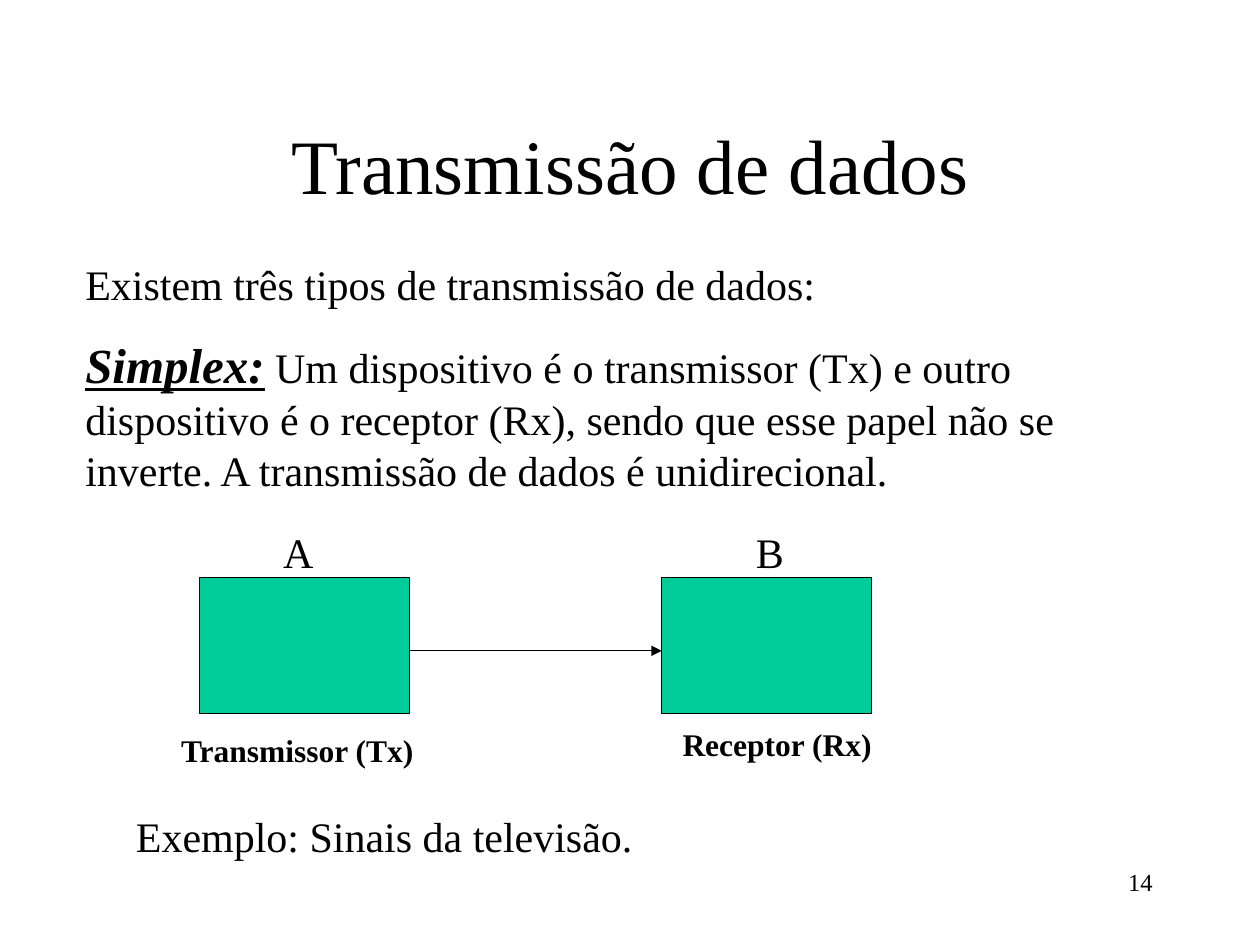
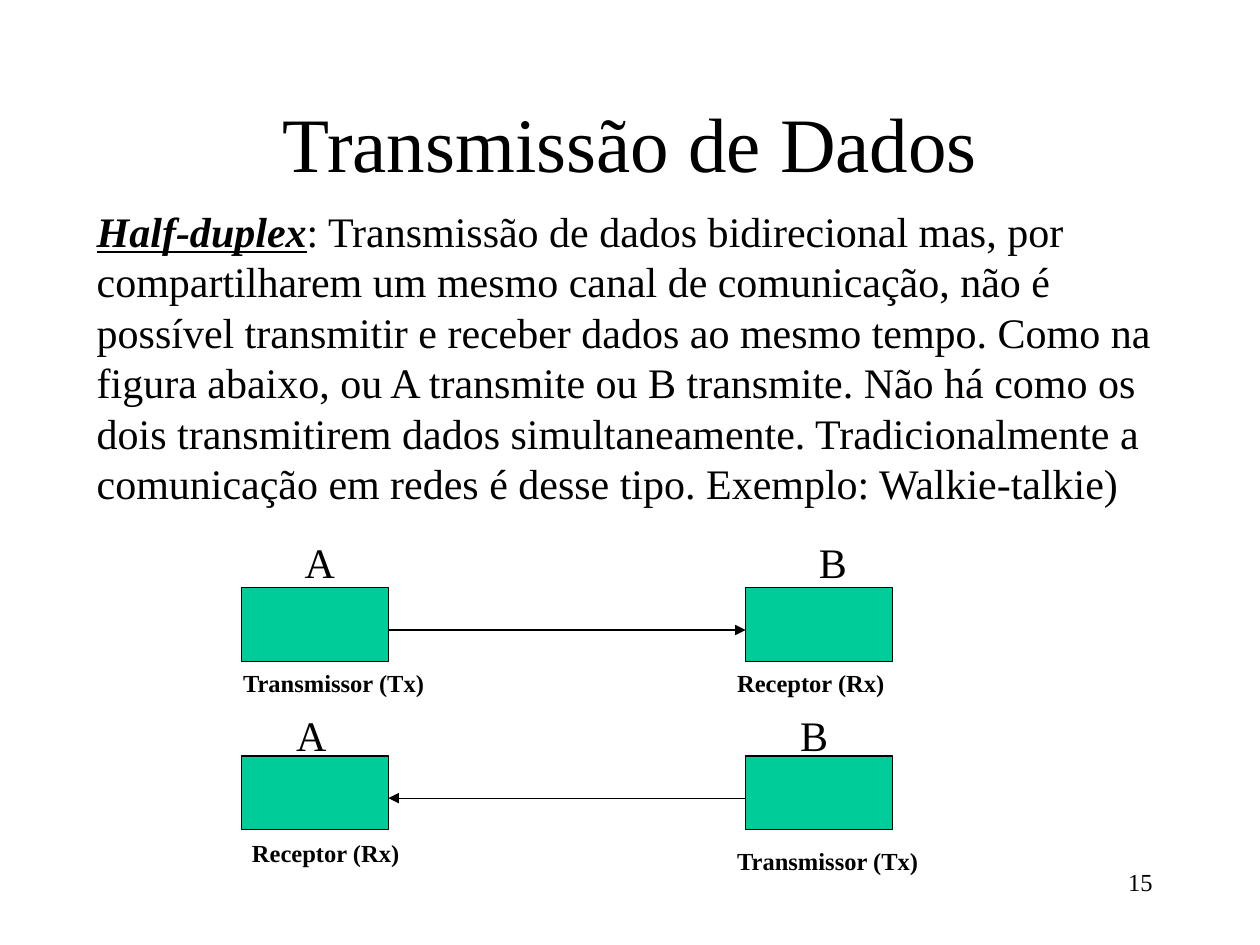
from lxml.etree import SubElement
from pptx import Presentation
from pptx.dml.color import RGBColor
from pptx.enum.shapes import MSO_CONNECTOR as Connector, MSO_SHAPE as Shape
from pptx.enum.text import MSO_ANCHOR as Anchor, MSO_AUTO_SIZE as AutoSize, PP_ALIGN as Align
from pptx.oxml.ns import qn
from pptx.util import Cm, Pt

FONT = "Times New Roman"
BLACK = "000000"
GREEN = "00CC99"
TITLE_ONLY = 5
ROLE_WIDTHS = {
    18: {"Transmissor (Tx)": 5.26, "Receptor (Rx)": 4.32},
    14: {"Transmissor (Tx)": 4.19, "Receptor (Rx)": 3.48},
}


def color(value):
    return RGBColor.from_string(value)


def style_font(font, size, bold=False, italic=False, underline=False):
    font.name = FONT
    font.size = Pt(size)
    font.bold = bold
    font.italic = italic
    font.underline = underline
    font.color.rgb = color(BLACK)


def add_page(deck, title, top, height):
    page = deck.slides.add_slide(deck.slide_layouts[TITLE_ONLY])
    holder = page.shapes.title
    holder.left, holder.top = Cm(1.91), Cm(top)
    holder.width, holder.height = Cm(21.59), Cm(height)
    frame = holder.text_frame
    frame.text = title
    frame.auto_size = AutoSize.NONE
    frame.vertical_anchor = Anchor.MIDDLE
    para = frame.paragraphs[0]
    para.alignment = Align.CENTER
    style_font(para.runs[0].font, 44)
    return page


def add_box(page, left, top, width, height, wrap=True):
    box = page.shapes.add_textbox(Cm(left), Cm(top), Cm(width), Cm(height))
    box.text_frame.word_wrap = wrap
    box.text_frame.auto_size = AutoSize.SHAPE_TO_FIT_TEXT
    return box.text_frame


def add_label(page, text, left, top, width, height=1.27, size=24, bold=False):
    frame = add_box(page, left, top, width, height, wrap=False)
    frame.text = text
    style_font(frame.paragraphs[0].runs[0].font, size, bold)


def add_term(para, term, term_size, explanation):
    para.text = term
    style_font(para.runs[0].font, term_size, bold=True, italic=True, underline=True)
    span = para.add_run()
    span.text = explanation
    style_font(span.font, 24)


def add_number(page, number):
    frame = add_box(page, 18.2, 17.36, 5.29, 1.27)
    frame.auto_size = AutoSize.NONE
    frame.text = str(number)
    para = frame.paragraphs[0]
    para.alignment = Align.RIGHT
    style_font(para.runs[0].font, 14)


def add_device(page, left, top, size):
    width, height = size
    device = page.shapes.add_shape(Shape.RECTANGLE, Cm(left), Cm(top), Cm(width), Cm(height))
    device.shadow.inherit = False
    device.fill.solid()
    device.fill.fore_color.rgb = color(GREEN)
    device.line.color.rgb = color(BLACK)
    device.line.width = Pt(0.75)


def add_arrow(page, start, end, y):
    arrow = page.shapes.add_connector(Connector.STRAIGHT, Cm(start), Cm(y), Cm(end), Cm(y))
    arrow.line.color.rgb = color(BLACK)
    arrow.line.width = Pt(0.75)
    SubElement(arrow.line._get_or_add_ln(), qn("a:tailEnd"), type="triangle")
    SubElement(arrow._element.spPr, qn("a:effectLst"))


def add_link(page, lefts, top, size, arrow_y, letters, roles, role_size, reverse=False):
    for left in lefts:
        add_device(page, left, top, size)
    ends = (lefts[0] + size[0], lefts[1])
    start, end = reversed(ends) if reverse else ends
    add_arrow(page, start, end, arrow_y)
    for letter, (left, letter_top) in zip("AB", letters):
        add_label(page, letter, left, letter_top, 1.1)
    for role, left, role_top in roles:
        width = ROLE_WIDTHS[role_size][role]
        add_label(page, role, left, role_top, width, role_size / 18, role_size, bold=True)


def build_simplex(deck):
    page = add_page(deck, "Transmissão de dados", 1.7, 3.18)
    frame = add_box(page, 1.47, 5.08, 22.43, 5.03)
    frame.text = "Existem três tipos de transmissão de dados:"
    style_font(frame.paragraphs[0].runs[0].font, 24)
    para = frame.add_paragraph()
    para.space_before = Pt(15)
    add_term(para, "Simplex:", 28,
             " Um dispositivo é o transmissor (Tx) e outro dispositivo é o receptor (Rx), "
             "sendo que esse papel não se inverte. A transmissão de dados é unidirecional.")
    add_link(page, (4.02, 13.34), 11.64, (4.23, 2.75), 13.12,
             letters=((5.46, 10.49), (14.99, 10.49)),
             roles=(("Transmissor (Tx)", 3.4, 14.61), ("Receptor (Rx)", 13.51, 14.5)),
             role_size=18)
    add_label(page, "Exemplo: Sinais da televisão.", 2.49, 16.21, 10.52)
    add_number(page, 14)


def build_half_duplex(deck):
    page = add_page(deck, "Transmissão de Dados", 1.91, 1.91)
    frame = add_box(page, 1.7, 4.02, 22.68, 6.35)
    add_term(frame.paragraphs[0], "Half-duplex", 24,
             ": Transmissão de dados bidirecional mas, por compartilharem um mesmo canal "
             "de comunicação, não é possível transmitir e receber dados ao mesmo tempo. "
             "Como na figura abaixo, ou A transmite ou B transmite. Não há como os dois "
             "transmitirem dados simultaneamente. Tradicionalmente a comunicação em redes "
             "é desse tipo. Exemplo: Walkie-talkie)")
    lefts, size = (4.87, 15.03), (2.96, 1.48)
    add_link(page, lefts, 11.85, size, 12.7,
             letters=((5.89, 10.69), (16.26, 10.69)),
             roles=(("Transmissor (Tx)", 4.65, 13.34), ("Receptor (Rx)", 14.61, 13.34)),
             role_size=14)
    add_link(page, lefts, 15.24, size, 16.09,
             letters=((5.72, 14.17), (15.88, 14.17)),
             roles=(("Receptor (Rx)", 4.83, 16.76), ("Transmissor (Tx)", 14.61, 16.94)),
             role_size=14, reverse=True)
    add_number(page, 15)


def main():
    deck = Presentation()
    deck.slide_width, deck.slide_height = Cm(25.4), Cm(19.05)
    build_simplex(deck)
    build_half_duplex(deck)
    deck.save("out.pptx")


if __name__ == "__main__":
    main()
